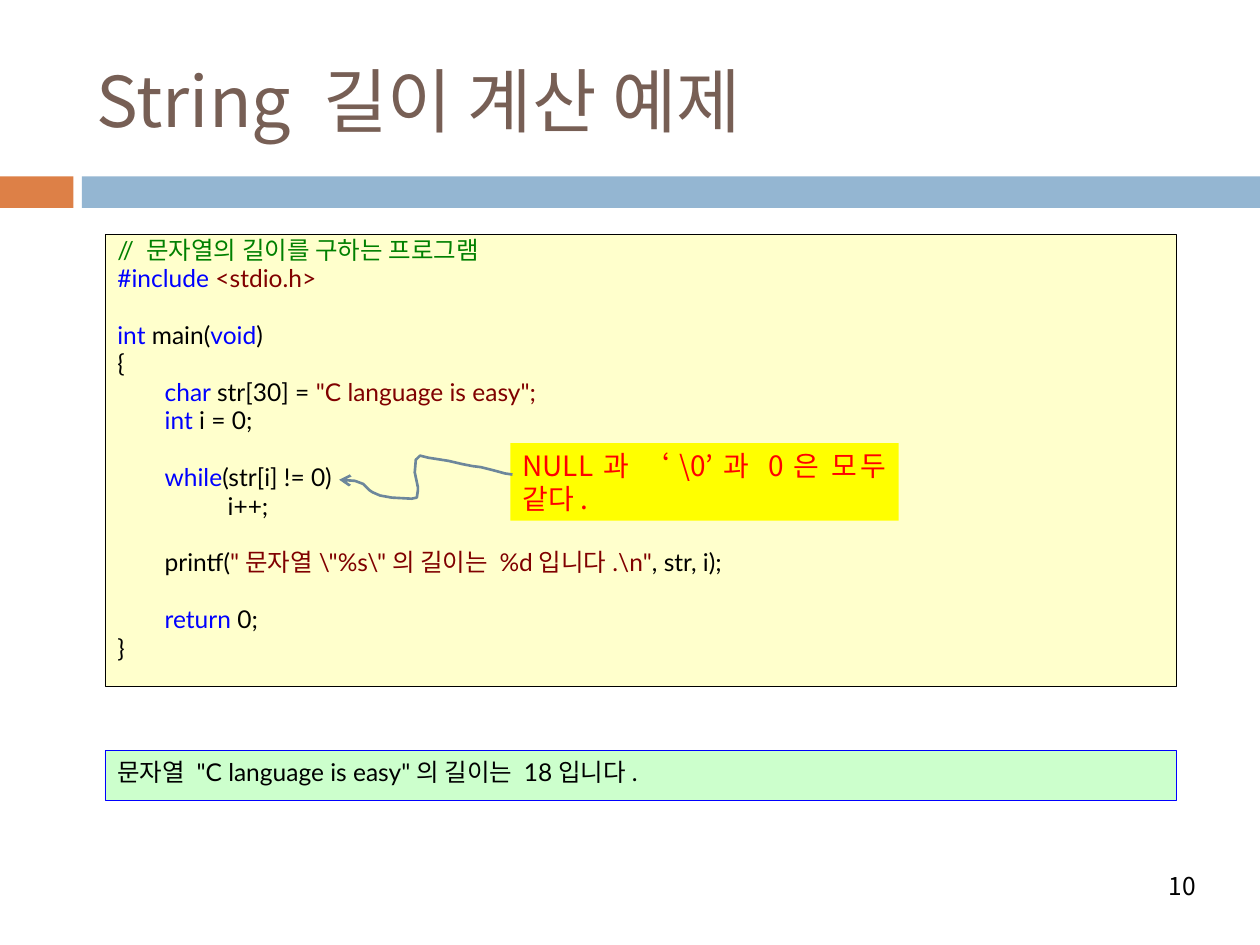
import pptx
import pptx.util
import pptx.dml.color
import pptx.enum.shapes
import pptx.enum.text
import pptx.oxml.ns
import lxml.etree

COLORS = {
    "title": "775F55", "orange": "DD8047", "blue": "94B6D2",
    "code_fill": "FFFFCC", "result_fill": "CCFFCC", "note_fill": "FFFF00",
    "comment": "008000", "keyword": "0000FF", "literal": "800000",
    "plain": "000000", "note": "FF0000", "arrow": "6D879B",
}
CODE_FONT, KOREAN_FONT = "Lato", "Noto Sans CJK KR"
ALIGN = pptx.enum.text.PP_ALIGN
ANCHOR = pptx.enum.text.MSO_ANCHOR

presentation = pptx.Presentation()
presentation.slide_width = pptx.util.Inches(10)
presentation.slide_height = pptx.util.Inches(7.5)
UNIT = presentation.slide_width // 120
slide = presentation.slides.add_slide(presentation.slide_layouts[5])


def format_run(run, size, color, font=KOREAN_FONT):
    run.font.size = pptx.util.Pt(size)
    run.font.name = font
    run.font.color.rgb = pptx.dml.color.RGBColor.from_string(COLORS[color])
    east_asian = lxml.etree.Element(pptx.oxml.ns.qn("a:ea"), typeface=KOREAN_FONT)
    run.font._element.find(pptx.oxml.ns.qn("a:latin")).addnext(east_asian)


def add_box(left, top, width, height, fill, line=None, line_width=0):
    shape = slide.shapes.add_shape(
        pptx.enum.shapes.MSO_SHAPE.RECTANGLE,
        *(round(length * UNIT) for length in (left, top, width, height)))
    shape.shadow.inherit = False
    shape.fill.solid()
    shape.fill.fore_color.rgb = pptx.dml.color.RGBColor.from_string(COLORS[fill])
    if line:
        shape.line.color.rgb = pptx.dml.color.RGBColor.from_string(COLORS[line])
        shape.line.width = pptx.util.Pt(line_width)
    else:
        shape.line.fill.background()
    shape.text_frame.word_wrap = True
    shape.text_frame.vertical_anchor = ANCHOR.TOP
    return shape


add_box(0, 16.8, 7, 3, "orange")
add_box(7.8, 16.8, 112.2, 3, "blue")

title = slide.shapes.title
title.left, title.top, title.width, title.height = (
    length * UNIT for length in (8, 3, 107, 13))
title.text_frame.text = "String 길이 계산 예제"
title.text_frame.vertical_anchor = ANCHOR.MIDDLE
title.text_frame.paragraphs[0].alignment = ALIGN.LEFT
format_run(title.text_frame.paragraphs[0].runs[0], 40, "title")

code_lines = [
    [("comment", "// 문자열의 길이를 구하는 프로그램")],
    [("keyword", "#include "), ("literal", "<stdio.h>")],
    [],
    [("keyword", "int"), ("plain", " main("), ("keyword", "void"), ("plain", ")")],
    [("plain", "{")],
    [("keyword", "\tchar "), ("plain", "str[30] = "),
     ("literal", '"C language is easy";')],
    [("keyword", "\tint "), ("plain", "i = 0;")],
    [],
    [("keyword", "\twhile"), ("plain", "(str[i] != 0)")],
    [("plain", "\t\ti++;")],
    [],
    [("plain", "\tprintf("), ("literal", '"문자열\\"%s\\"의 길이는 %d입니다.\\n"'),
     ("plain", ", str, i);")],
    [],
    [("keyword", "\treturn"), ("plain", " 0;")],
    [("plain", "}")],
]
code_box = add_box(10, 22.3, 102, 43.1, "code_fill", "plain", 0.25)
indent = round(4.5 * UNIT)
for number, code_line in enumerate(code_lines):
    if number == 0:
        paragraph = code_box.text_frame.paragraphs[0]
    else:
        paragraph = code_box.text_frame.add_paragraph()
        paragraph.space_before = pptx.util.Pt(2.8)
    paragraph.alignment = ALIGN.LEFT
    paragraph.line_spacing = 0.8
    properties = paragraph._p.get_or_add_pPr()
    properties.set("marL", str(indent))
    properties.set("indent", str(-indent))
    paragraph.font.size = pptx.util.Pt(14)
    paragraph.font.name = CODE_FONT
    if not code_line:
        blank_mark = lxml.etree.SubElement(
            paragraph._p, pptx.oxml.ns.qn("a:endParaRPr"), sz="1400")
        lxml.etree.SubElement(
            blank_mark, pptx.oxml.ns.qn("a:latin"), typeface=CODE_FONT)
    for color, text in code_line:
        run = paragraph.add_run()
        run.text = text
        format_run(run, 14, color, CODE_FONT)

result_box = add_box(10, 71.5, 102, 4.7, "result_fill", "keyword", 0.33)
result_box.text_frame.text = '문자열 "C language is easy"의 길이는 18입니다.'
result_box.text_frame.paragraphs[0].alignment = ALIGN.JUSTIFY
format_run(result_box.text_frame.paragraphs[0].runs[0], 14, "plain", CODE_FONT)

page_number = slide.shapes.add_textbox(
    *(round(length * UNIT) for length in (81.7, 82, 33.4, 4.8)))
page_number.text_frame.word_wrap = True
page_number.text_frame.vertical_anchor = ANCHOR.MIDDLE
page_number.text_frame.text = "10"
page_number.text_frame.paragraphs[0].alignment = ALIGN.RIGHT
format_run(page_number.text_frame.paragraphs[0].runs[0], 14, "plain")

note_box = add_box(48.6, 42.2, 37, 7.4, "note_fill")
note_box.text_frame.vertical_anchor = ANCHOR.MIDDLE
note_box.text_frame.text = "NULL과 ‘\\0’과 0은 모두 같다."
note_box.text_frame.paragraphs[0].alignment = ALIGN.JUSTIFY
format_run(note_box.text_frame.paragraphs[0].runs[0], 16, "note")

arrow_points = [
    (round(column * UNIT), round(row * UNIT)) for column, row in [
        (48.8, 45.2), (48.1, 45.1), (47, 44.8), (45.8, 44.5), (45, 44.4),
        (44, 44.2), (42.7, 43.9), (40.8, 43.6), (40, 43.4), (39.6, 43.8),
        (39.5, 45), (39.8, 46.4), (39.8, 46.7), (39.7, 47.4), (39.2, 47.5),
        (37.3, 47.4), (36.2, 47.2), (35.5, 46.9), (35.2, 46.7), (34.6, 46.1),
        (33.8, 45.8), (32.3, 45.7),
    ]
]
builder = slide.shapes.build_freeform(*arrow_points[0])
builder.add_line_segments(arrow_points[1:], close=False)
arrow = builder.convert_to_shape()
arrow.shadow.inherit = False
arrow.fill.background()
arrow.line.color.rgb = pptx.dml.color.RGBColor.from_string(COLORS["arrow"])
arrow.line.width = pptx.util.Pt(1.5)
lxml.etree.SubElement(
    arrow.line._get_or_add_ln(), pptx.oxml.ns.qn("a:tailEnd"), type="arrow")

presentation.save("out.pptx")
